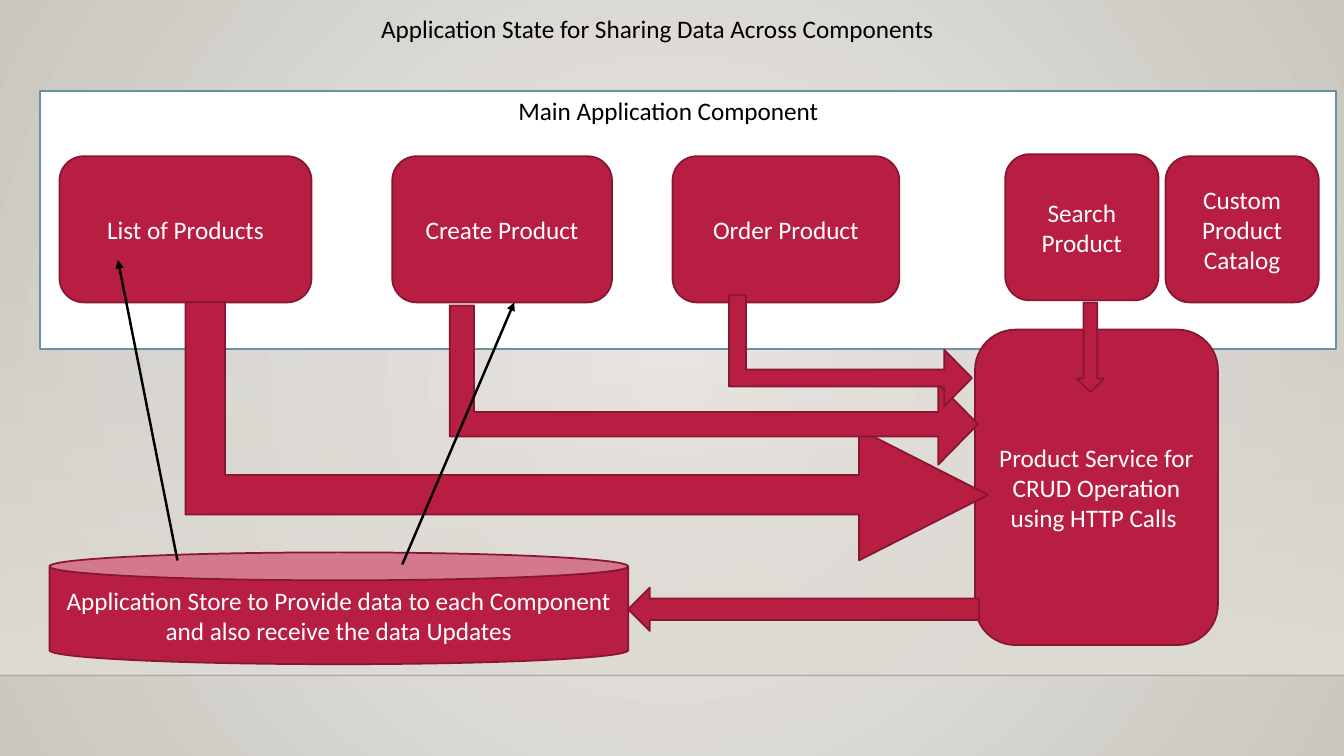
from lxml import etree
from pptx import Presentation
from pptx.dml.color import RGBColor
from pptx.enum.shapes import MSO_CONNECTOR as LINK, MSO_SHAPE as SHAPE
from pptx.enum.text import MSO_ANCHOR as ANCHOR, MSO_AUTO_SIZE as FIT, PP_ALIGN as ALIGN
from pptx.oxml.ns import qn
from pptx.util import Inches, Pt

COLORS = {"glow": "ECEAE7", "edge": "CAC7C1", "floor": "DFDBD5", "rule": "000001",
          "red": "B71E42", "dark red": "871631", "frame": "6892A0",
          "white": "FFFFFF", "black": "000000"}
FONT, SIZE = "Calibri", 18
WIDTH, HEIGHT, HORIZON = 13.33, 7.5, 6.7

# Content: text, then left, top, width, height
TITLE = ("Application State for Sharing Data Across Components", (3.68, 0.08, 5.93, 0.4))
MAIN = ("Main Application Component", (3.98, 0.9, 5.3, 0.4))
MAIN_FRAME = (0.4, 0.9, 12.85, 2.56)
COMPONENT_TOP, COMPONENT_HEIGHT = 1.55, 1.45
COMPONENTS = [  # text, left, width, upward shift
    ("List of Products", 0.59, 2.5, 0),
    ("Create Product", 3.89, 2.18, 0),
    ("Order Product", 6.67, 2.25, 0),
    ("Search Product", 9.97, 1.52, 0.02),
    ("Custom Product Catalog", 11.56, 1.52, 0),
]
SERVICE = ("Product Service for CRUD Operation using HTTP Calls ", (9.67, 3.27, 2.41, 3.13))
STORE = ("Application Store to Provide data to each Component and also receive the data Updates",
         (0.49, 5.48, 5.74, 1.11))
BENT_ARROWS = [  # visible area after the quarter turn, head length
    ((1.84, 3.0, 7.96, 2.56), 0.5),
    ((4.46, 3.03, 5.24, 1.58), 0.25),
    ((7.23, 2.93, 2.41, 1.1), 0.25),
]
STRAIGHT_ARROWS = [(SHAPE.DOWN_ARROW, (10.68, 3.0, 0.27, 0.89)),
                   (SHAPE.LEFT_ARROW, (6.23, 5.83, 3.48, 0.43))]
STORE_LINKS = [((1.76, 5.56), (1.17, 2.58)), ((3.99, 5.6), (5.1, 3.0))]


def rgb(name):
    return RGBColor.from_string(COLORS[name])


def inches(values):
    return [Inches(value) for value in values]


def set_alpha(color_parent, percent):
    color = next(color_parent.iter(qn("a:srgbClr")))
    etree.SubElement(color, qn("a:alpha")).set("val", str(percent * 1000))


def set_gradient(fill, names):
    fill.gradient()
    for stop, name, position in zip(fill.gradient_stops, names, (0, 1)):
        stop.color.rgb = rgb(name)
        stop.position = position


def write(shape, text, color, align=ALIGN.CENTER, anchor=ANCHOR.MIDDLE):
    frame = shape.text_frame
    frame.text = text
    frame.word_wrap = True
    frame.auto_size = FIT.NONE
    frame.vertical_anchor = anchor
    para = frame.paragraphs[0]
    para.alignment = align
    font = para.runs[0].font
    font.name, font.size, font.color.rgb = FONT, Pt(SIZE), rgb(color)


def add_block(kind, area, text=None, fill="red", line="dark red"):
    shape = page.shapes.add_shape(kind, *inches(area))
    shape.shadow.inherit = False
    shape.fill.solid()
    shape.fill.fore_color.rgb = rgb(fill)
    shape.line.color.rgb = rgb(line)
    shape.line.width = Pt(1.25)
    if text:
        write(shape, text, "white")
    return shape


def add_line(start, end, color, width):
    link = page.shapes.add_connector(LINK.STRAIGHT, *inches(start + end))
    link.line.color.rgb = rgb(color)
    link.line.width = Pt(width)
    etree.SubElement(link._element.spPr, qn("a:effectLst"))
    return link


deck = Presentation()
deck.slide_width, deck.slide_height = inches((WIDTH, HEIGHT))
page = deck.slides.add_slide(deck.slide_layouts[5])

# Background with a round glow
backdrop = page.background.fill
set_gradient(backdrop, ("glow", "edge"))
gradient = next(page._element.iter(qn("a:gradFill")))
gradient.remove(gradient.find(qn("a:lin")))
glow = etree.Element(qn("a:path"), {"path": "circle"})
etree.SubElement(glow, qn("a:fillToRect"), dict.fromkeys("ltrb", "50000"))
gradient.find(qn("a:gsLst")).addnext(glow)

# Floor that fades in down to the horizon
floor = page.shapes.add_shape(SHAPE.RECTANGLE, *inches((0, 2.21, WIDTH, HORIZON - 2.21)))
floor.shadow.inherit = False
floor.line.fill.background()
set_gradient(floor.fill, ("floor", "floor"))
floor.fill.gradient_angle = 270
set_alpha(floor._element.spPr, 0)
horizon = add_line((0, HORIZON), (WIDTH, HORIZON), "rule", 1)
set_alpha(horizon.line._ln, 20)

# Title
title = page.shapes.title
title.left, title.top, title.width, title.height = inches(TITLE[1])
write(title, TITLE[0], "black", ALIGN.LEFT, ANCHOR.TOP)

# Main component and its parts
add_block(SHAPE.RECTANGLE, MAIN_FRAME, fill="white", line="frame")
heading = page.shapes.add_textbox(*inches(MAIN[1]))
write(heading, MAIN[0], "black", anchor=ANCHOR.TOP)
for text, left, width, shift in COMPONENTS:
    add_block(SHAPE.ROUNDED_RECTANGLE,
              (left, COMPONENT_TOP - shift, width, COMPONENT_HEIGHT), text)

# Service and the arrows that lead to it
add_block(SHAPE.ROUNDED_RECTANGLE, SERVICE[1], SERVICE[0])
for (left, top, width, height), head in BENT_ARROWS:
    inset = (width - height) / 2
    arrow = add_block(SHAPE.BENT_UP_ARROW, (left + inset, top - inset, height, width))
    arrow.rotation = 90
    for index, value in enumerate((0.153, 0.254, head)):
        arrow.adjustments[index] = value

# Store, straight arrows and links back to the components
add_block(SHAPE.CAN, STORE[1], STORE[0])
for kind, area in STRAIGHT_ARROWS:
    add_block(kind, area)
for start, end in STORE_LINKS:
    link = add_line(start, end, "black", 1.75)
    etree.SubElement(link.line._ln, qn("a:tailEnd")).set("type", "triangle")

deck.save("out.pptx")
